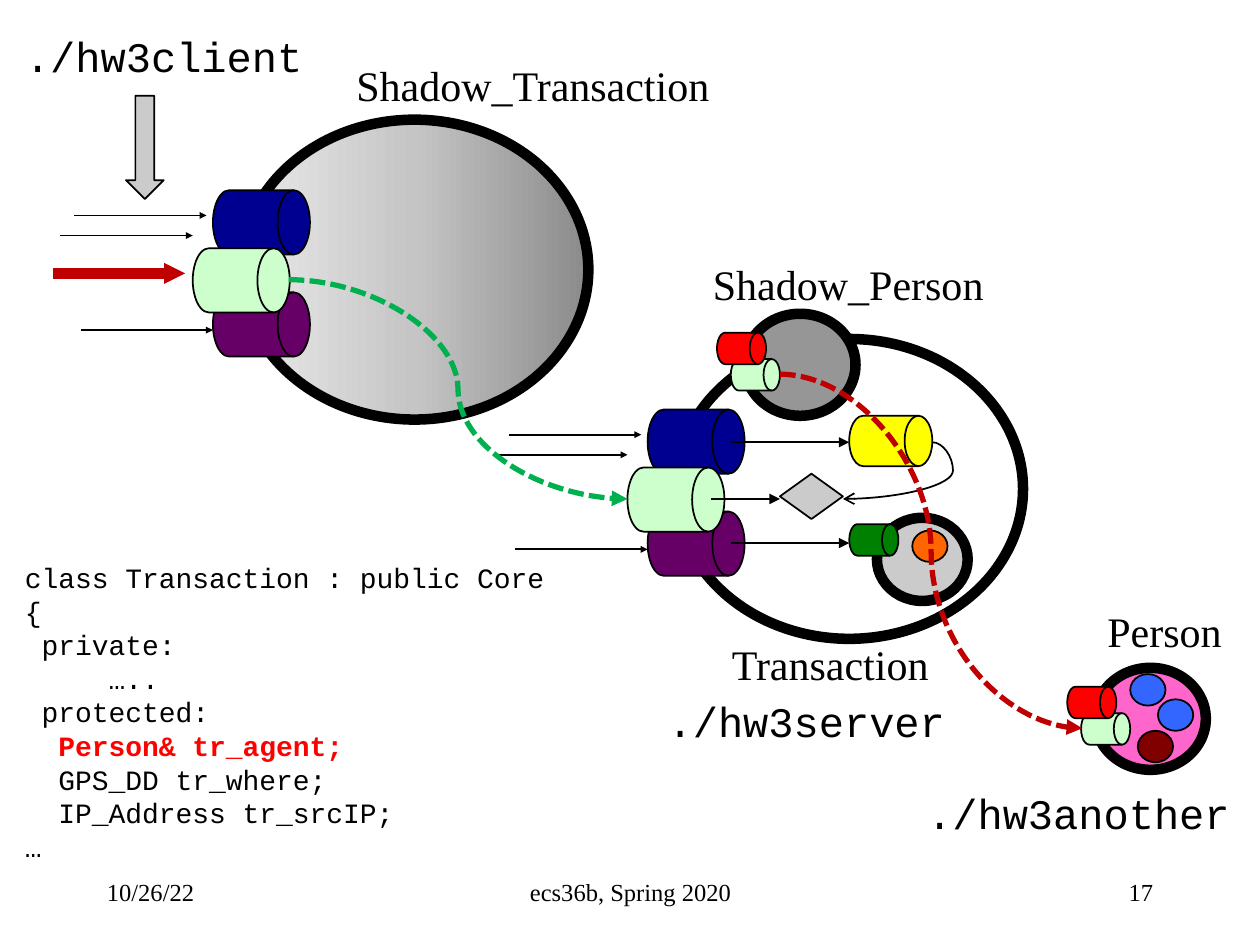
"""Build a slide on shadow objects shared by a client, a server and another process."""
from copy import deepcopy

from pptx import Presentation
from pptx.dml.color import RGBColor
from pptx.enum.dml import MSO_LINE
from pptx.enum.shapes import MSO_CONNECTOR, MSO_SHAPE
from pptx.enum.text import MSO_ANCHOR, MSO_AUTO_SIZE, PP_ALIGN
from pptx.oxml.ns import qn
from pptx.util import Inches, Pt
from lxml.etree import SubElement

COLORS = {
    "black": "000000", "navy": "000090", "purple": "660066", "mint": "CCFFCC",
    "red": "FF0000", "dark_red": "C00000", "green": "008000", "link_green": "00B050",
    "orange": "FF6600", "yellow": "FFFF00", "silver": "CBCBCB", "gray": "969696",
    "pink": "FF66CC", "blue": "3366FF", "maroon": "800000",
    "shade_light": "EAEAEA", "shade_middle": "C5C5C5", "shade_dark": "8B8B8B",
}
RGB = {name: RGBColor.from_string(value) for name, value in COLORS.items()}
DRUM = MSO_SHAPE.FLOWCHART_DIRECT_ACCESS_STORAGE
OVAL = MSO_SHAPE.OVAL
SERIF, MONO = "Times New Roman", "Courier New"

deck = Presentation()
deck.slide_width, deck.slide_height = Inches(10), Inches(7.5)
page = deck.slides.add_slide(deck.slide_layouts[6])


def add_figure(kind, left, top, width, height, fill=None, weight=1):
    figure = page.shapes.add_shape(kind, Inches(left), Inches(top), Inches(width), Inches(height))
    figure.shadow.inherit = False
    figure.line.color.rgb = RGB["black"]
    figure.line.width = Pt(weight)
    if fill:
        figure.fill.solid()
        figure.fill.fore_color.rgb = RGB[fill]
    else:
        figure.fill.background()
    return figure


def add_arrow(start, end, color="black", weight=1, size="med", head="triangle",
              kind=MSO_CONNECTOR.STRAIGHT, dash=None):
    arrow = page.shapes.add_connector(kind, *[Inches(value) for value in (*start, *end)])
    arrow.line.color.rgb = RGB[color]
    arrow.line.width = Pt(weight)
    if dash:
        arrow.line.dash_style = dash
    outline = arrow.line._get_or_add_ln()
    SubElement(outline, qn("a:tailEnd"), type=head, w=size, len=size)
    SubElement(arrow._element.spPr, qn("a:effectLst"))
    return arrow


processes = {}
for name, left, top in [("server", 5.14, 3.25), ("client", 1.69, 1.51)]:
    processes[name] = add_figure(OVAL, left + 0.22, top - 0.56, 2.76, 2.38, weight=6)
    for shift, drop, fill in [(0, 0, "navy"), (0, 0.81, "purple"), (-0.16, 0.46, "mint")]:
        add_figure(DRUM, left + shift, top + drop, 0.77, 0.51, fill)
    for shift, drop in [(-0.05, 0.2), (-0.16, 0.36), (0, 1.11)]:
        tip = left + shift
        add_arrow((tip - 1.05, top + drop), (tip, top + drop), size="sm")

shade = processes["client"].fill
shade.gradient()
shade.gradient_angle = 0
first_stop = processes["client"]._element.spPr.find(".//" + qn("a:gs"))
first_stop.addnext(deepcopy(first_stop))
for stop, position, tone in zip(shade.gradient_stops, (0, 0.5, 1),
                                ("shade_light", "shade_middle", "shade_dark")):
    stop.position = position
    stop.color.rgb = RGB[tone]

add_arrow((0.42, 2.17), (1.47, 2.17), "dark_red", 6, "sm")
add_figure(MSO_SHAPE.DOWN_ARROW, 1, 0.76, 0.3, 0.82, "silver")

for left, right, middle in [(5.8, 6.74, 3.51), (5.64, 6.19, 3.96), (5.8, 6.74, 4.31)]:
    add_arrow((left, middle), (right, middle))

for left, top, fill in [(5.91, 2.49, "gray"), (8.69, 5.3, "pink")]:
    add_figure(OVAL, left, top, 0.88, 0.81, fill, 6)
    add_figure(DRUM, left - 0.11, top + 0.36, 0.39, 0.25, "mint")
    add_figure(DRUM, left - 0.22, top + 0.15, 0.39, 0.25, "red")

add_figure(OVAL, 6.96, 4.11, 0.72, 0.66, "silver", 6)
add_figure(DRUM, 6.74, 4.16, 0.39, 0.25, "green")
add_figure(MSO_SHAPE.DIAMOND, 6.19, 3.76, 0.5, 0.36, "silver")
add_figure(DRUM, 6.74, 3.3, 0.66, 0.4, "yellow")
for left, top, fill in [(7.24, 4.21, "orange"), (8.97, 5.35, "blue"),
                        (9.19, 5.55, "blue"), (9.03, 5.8, "maroon")]:
    add_figure(OVAL, left, top, 0.28, 0.25, fill)

return_arrow = add_arrow((7.4, 3.51), (6.69, 3.96), head="arrow", kind=MSO_CONNECTOR.CURVE)
return_arrow._element.spPr.prstGeom.get_or_add_avLst()
guides = return_arrow._element.spPr.find(".//" + qn("a:avLst"))
SubElement(guides, qn("a:gd"), name="adj1", fmla="val -23100")
for start, end, color in [((2.29, 2.22), (4.98, 3.96), "link_green"),
                          ((6.19, 2.97), (8.59, 5.78), "dark_red")]:
    add_arrow(start, end, color, 3, kind=MSO_CONNECTOR.CURVE, dash=MSO_LINE.SQUARE_DOT)

code = [
    "class Transaction : public Core", "{", " private:", "     …..", " protected:",
    "  Person& tr_agent;", "  GPS_DD tr_where;", "  IP_Address tr_srcIP;", "…",
]
label = {"size": Pt(24), "name": SERIF}
command = {"size": Pt(24), "name": MONO}
footer = {"size": Pt(14), "name": SERIF}
listing = {"size": Pt(16), "name": MONO}
LEFT, CENTER, RIGHT = PP_ALIGN.LEFT, PP_ALIGN.CENTER, PP_ALIGN.RIGHT
texts = [
    (["10/26/22"], 0.75, 6.83, 2.08, 0.5, footer, LEFT),
    (["ecs36b, Spring 2020"], 3.42, 6.83, 3.17, 0.5, footer, CENTER),
    (["17"], 7.17, 6.83, 2.08, 0.5, footer, RIGHT),
    (["./hw3client"], 0.1, 0.19, 2.42, 0.51, command, LEFT),
    (["./hw3server"], 5.2, 5.47, 2.42, 0.51, command, LEFT),
    (["./hw3another"], 7.26, 6.2, 2.62, 0.51, command, LEFT),
    (["Shadow_Transaction"], 2.73, 0.42, 3.03, 0.51, label, LEFT),
    (["Shadow_Person"], 5.56, 2, 2.37, 0.51, label, LEFT),
    (["Transaction"], 5.71, 5.02, 1.78, 0.51, label, LEFT),
    (["Person"], 8.69, 4.76, 1.12, 0.51, label, LEFT),
    (code, 0.1, 4.4, 6.64, 2.52, listing, LEFT),
]
for lines, left, top, width, height, style, alignment in texts:
    box = page.shapes.add_textbox(Inches(left), Inches(top), Inches(width), Inches(height))
    frame = box.text_frame
    frame.word_wrap = lines is code
    if style is footer:
        frame.vertical_anchor = MSO_ANCHOR.MIDDLE
    else:
        frame.auto_size = MSO_AUTO_SIZE.SHAPE_TO_FIT_TEXT
    for number, line in enumerate(lines):
        para = frame.add_paragraph() if number else frame.paragraphs[0]
        para.alignment = alignment
        span = para.add_run()
        span.text = line
        for attribute, value in style.items():
            setattr(span.font, attribute, value)
        highlighted = "tr_agent" in line
        span.font.bold = highlighted
        span.font.color.rgb = RGB["red" if highlighted else "black"]

deck.save("out.pptx")
